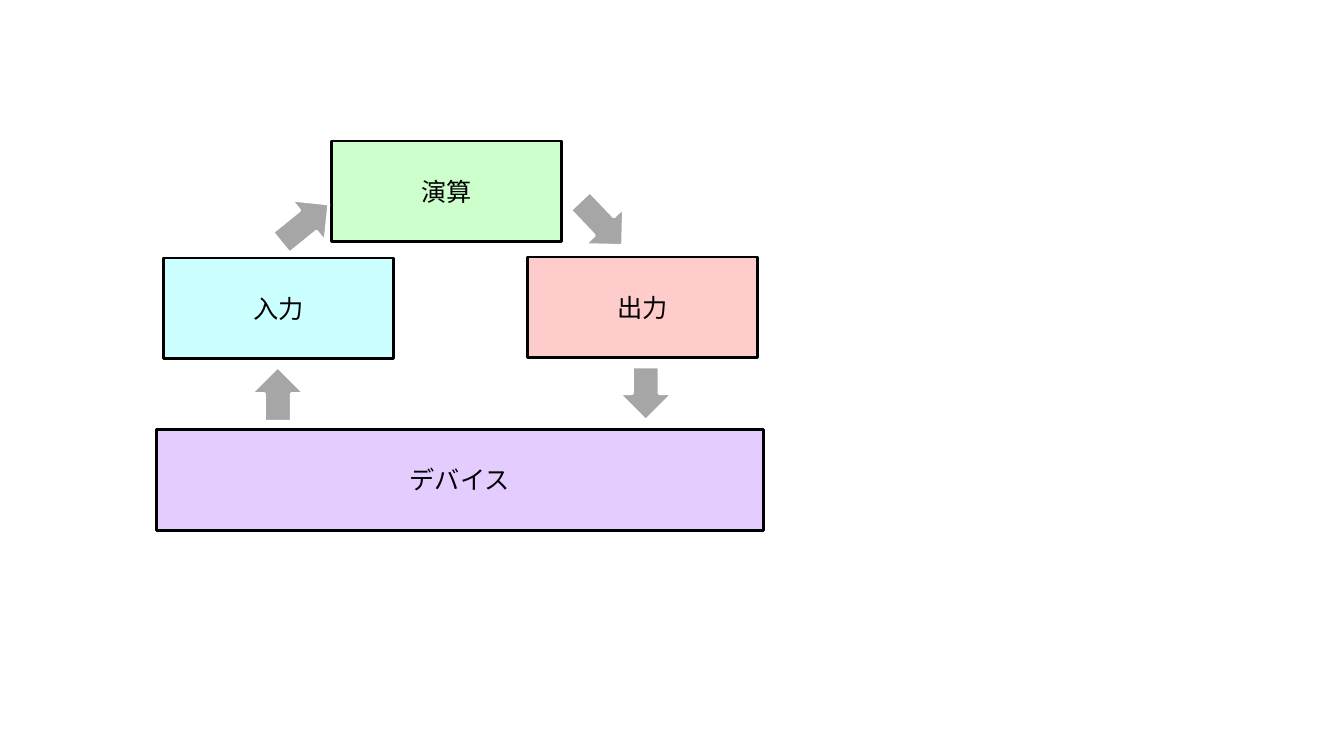
from lxml import etree
from pptx import Presentation
from pptx.dml.color import RGBColor
from pptx.enum.shapes import MSO_SHAPE
from pptx.enum.text import MSO_ANCHOR, PP_ALIGN
from pptx.oxml.ns import qn
from pptx.util import Inches, Pt

RECTANGLE = MSO_SHAPE.RECTANGLE
DOWN_ARROW = MSO_SHAPE.DOWN_ARROW
MIDDLE = MSO_ANCHOR.MIDDLE
CENTER = PP_ALIGN.CENTER
FONT = "Noto Sans CJK JP"
BLANK_LAYOUT = 6
BOX_WIDTH, BOX_HEIGHT = 2.28, 1
ARROW_WIDTH = 0.53


def color(value):
    return RGBColor.from_string(value)


def add_filled_shape(kind, left, top, width, height, fill, line):
    """Add a shadowless preset shape with a 2 pt outline; lengths in inches."""
    shape = slide.shapes.add_shape(
        kind, Inches(left), Inches(top), Inches(width), Inches(height))
    shape.shadow.inherit = False
    shape.fill.solid()
    shape.fill.fore_color.rgb = color(fill)
    shape.line.color.rgb = color(line)
    shape.line.width = Pt(2)
    return shape


deck = Presentation()
deck.slide_width, deck.slide_height = Inches(13.33), Inches(7.5)
slide = deck.slides.add_slide(deck.slide_layouts[BLANK_LAYOUT])

# Stages of the cycle: label, left, top, width, fill
stages = [
    ("入力", 1.62, 2.56, BOX_WIDTH, "CCFFFF"),
    ("出力", 5.23, 2.55, BOX_WIDTH, "FFCCCC"),
    ("演算", 3.29, 1.4, BOX_WIDTH, "CCFFCC"),
    ("デバイス", 1.55, 4.26, 6.02, "E5CCFF"),
]
for label, left, top, width, fill in stages:
    box = add_filled_shape(RECTANGLE, left, top, width, BOX_HEIGHT, fill, "000000")
    box.text_frame.vertical_anchor = MIDDLE
    para = box.text_frame.paragraphs[0]
    para.alignment = CENTER
    span = para.add_run()
    span.text = label
    span.font.size = Pt(18)
    span.font.name = FONT
    span.font.color.rgb = color("000000")
    # Japanese text takes its typeface from the East Asian font
    east_asian = etree.SubElement(span._r.get_or_add_rPr(), qn("a:ea"))
    east_asian.set("typeface", FONT)

# Flow between stages: left, top, height, rotation
arrows = [
    (2.49, 3.64, 0.54, 180),
    (2.76, 1.91, 0.61, 231),
    (5.7, 1.91, 0.61, 316.4),
    (6.14, 3.64, 0.53, 0),
]
for left, top, height, rotation in arrows:
    arrow = add_filled_shape(
        DOWN_ARROW, left, top, ARROW_WIDTH, height, "A6A6A6", "FFFFFF")
    arrow.rotation = rotation

deck.save("out.pptx")
